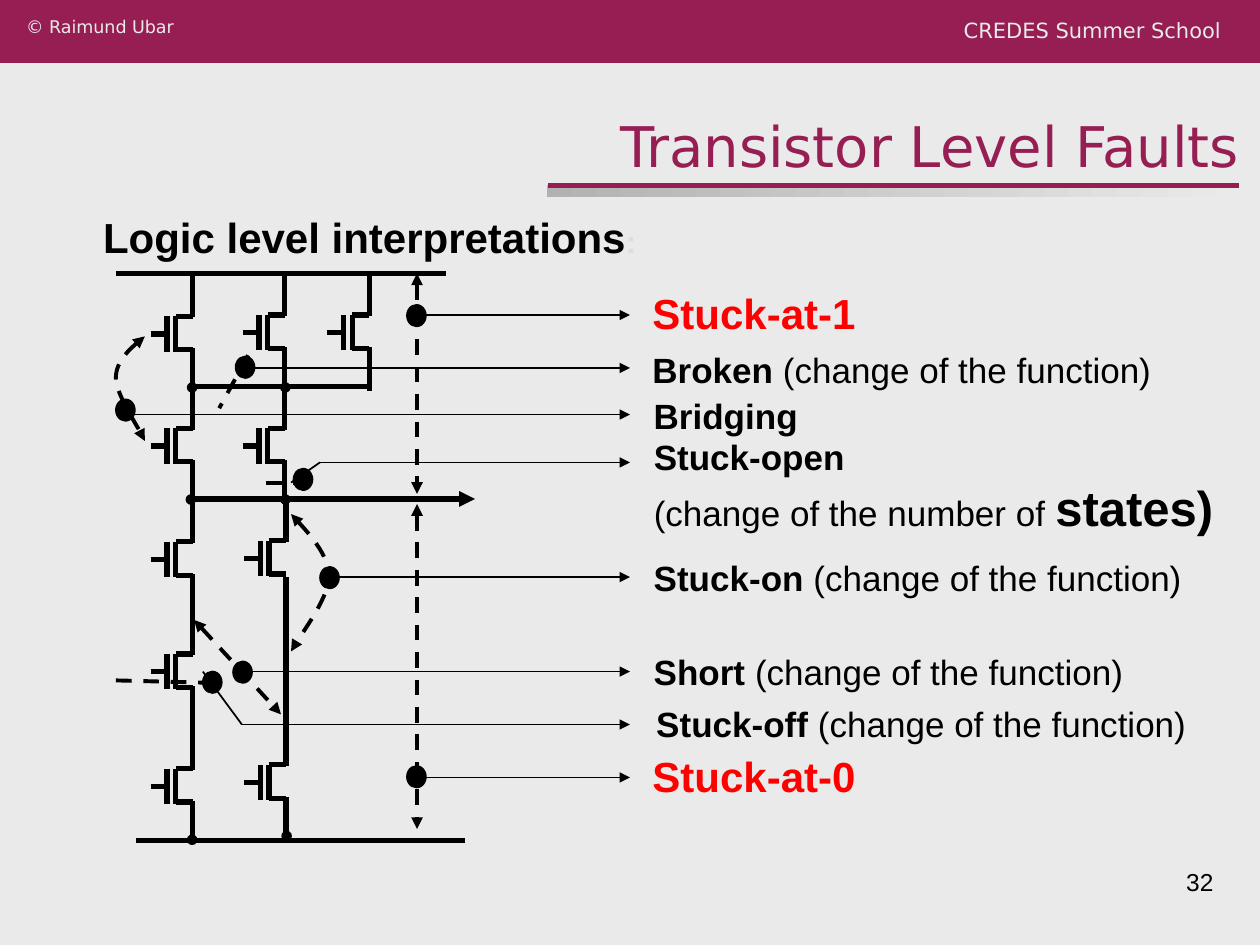
"""Build the slide on transistor level faults and their logic level interpretations."""
from pptx import Presentation
from pptx.dml.color import RGBColor
from pptx.enum.dml import MSO_LINE
from pptx.enum.shapes import MSO_CONNECTOR, MSO_SHAPE
from pptx.enum.text import MSO_ANCHOR, PP_ALIGN
from pptx.oxml.ns import qn
from pptx.util import Inches, Pt

STRAIGHT = MSO_CONNECTOR.STRAIGHT
RECTANGLE, OVAL = MSO_SHAPE.RECTANGLE, MSO_SHAPE.OVAL
DASH = MSO_LINE.DASH
TOP, MIDDLE, BOTTOM = MSO_ANCHOR.TOP, MSO_ANCHOR.MIDDLE, MSO_ANCHOR.BOTTOM
LEFT, RIGHT = PP_ALIGN.LEFT, PP_ALIGN.RIGHT

THEME = {
    "paper": RGBColor(0xEA, 0xEA, 0xEA),
    "brand": RGBColor(0x97, 0x1E, 0x53),
    "shade": RGBColor(0xB2, 0xB2, 0xB2),
    "ink": RGBColor(0, 0, 0),
    "alarm": RGBColor(0xFF, 0, 0),
    "faint": RGBColor(0xDD, 0xDD, 0xDD),
    "copyright": {"name": "DejaVu Sans", "size": Pt(10)},
    "event": {"name": "DejaVu Sans", "size": Pt(12)},
    "title": {"name": "DejaVu Sans", "size": Pt(32)},
    "heading": {"name": "Arial", "size": Pt(24), "bold": True},
    "colon": {"name": "Arial", "size": Pt(18), "bold": True},
    "fault": {"name": "Arial", "size": Pt(20), "bold": True},
    "effect": {"name": "Arial", "size": Pt(20), "bold": False},
    "states": {"name": "Arial", "size": Pt(28), "bold": True},
    "number": {"name": "Arial", "size": Pt(14)},
}
STROKES = {
    "rule": ("brand", {"width": Pt(3)}, ()),
    "wire": ("ink", {"width": Pt(3)}, ()),
    "output": ("ink", {"width": Pt(3)}, ("a:tailEnd",)),
    "defect": ("ink", {"width": Pt(2.25), "dash_style": DASH}, ()),
    "bridge": ("ink", {"width": Pt(2.25), "dash_style": DASH}, ("a:headEnd", "a:tailEnd")),
    "leader": ("ink", {"width": Pt(1)}, ()),
    "pointer": ("ink", {"width": Pt(1)}, ("a:tailEnd",)),
}

deck = Presentation()
deck.slide_width, deck.slide_height = Inches(10), Inches(7.5)
COL, ROW = deck.slide_width / 100, deck.slide_height / 75
slide = deck.slides.add_slide(deck.slide_layouts[6])
shapes = slide.shapes
slide.background.fill.solid()
slide.background.fill.fore_color.rgb = THEME["paper"]


def stroke(mark, style):
    color, formats, arrows = STROKES[style]
    mark.line.color.rgb = THEME[color]
    for key, value in formats.items():
        setattr(mark.line, key, value)
    properties = mark._element.spPr
    for end in arrows:
        outline = properties.find(qn("a:ln"))
        outline.append(outline.makeelement(qn(end), {"type": "triangle"}))
    if properties.find(qn("a:effectLst")) is None:
        properties.append(properties.makeelement(qn("a:effectLst"), {}))


def write(col, row, cols, rows, paragraphs, align=LEFT, anchor=MIDDLE, wrap=False):
    frame = shapes.add_textbox(*map(int, (col * COL, row * ROW, cols * COL, rows * ROW))).text_frame
    frame.word_wrap, frame.vertical_anchor = wrap, anchor
    for index, runs in enumerate(paragraphs):
        paragraph = frame.add_paragraph() if index else frame.paragraphs[0]
        paragraph.alignment = align
        for wording, kind, color in runs:
            run = paragraph.add_run()
            run.text = wording
            run.font.color.rgb = THEME[color]
            for key, value in THEME[kind].items():
                setattr(run.font, key, value)


banner = shapes.add_shape(RECTANGLE, 0, 0, deck.slide_width, int(5 * ROW))
banner.fill.solid()
banner.fill.fore_color.rgb = THEME["brand"]
underline = shapes.add_shape(RECTANGLE, *map(int, (43.4 * COL, 14.7 * ROW, 55.1 * COL, 0.9 * ROW)))
underline.fill.gradient()
underline.fill.gradient_angle = 0
for stop, color, position in zip(underline.fill.gradient_stops, ("shade", "paper"), (0, 1)):
    stop.color.rgb, stop.position = THEME[color], position
for bar in (banner, underline):
    bar.line.fill.background()
    bar.shadow.inherit = False

write(1.1, 0.8, 23.8, 3.2, [[("© Raimund Ubar", "copyright", "paper")]], LEFT, TOP, True)
write(74.1, 0.9, 23.8, 3.2, [[("CREDES Summer School", "event", "paper")]], RIGHT, TOP, True)
write(14.4, 8.3, 85, 6.4, [[("Transistor Level Faults", "title", "brand")]], RIGHT, BOTTOM, True)
write(71.7, 68.3, 25.6, 5.2, [[("32", "number", "ink")]], RIGHT, TOP, True)
write(7.2, 16.3, 44.3, 5, [[("Logic level interpretations", "heading", "ink"), (":", "colon", "faint")]])

lines = [
    (43.5, 14.7, 98.3, 14.7, "rule"),
    (9.2, 21.7, 35.4, 21.7, "wire"),
    (15.3, 30.7, 29.3, 30.7, "wire"),
    (15.4, 39.6, 37.7, 39.6, "output"),
    (22.7, 45.8, 22.7, 60.8, "wire"),
    (10.8, 66.7, 36.9, 66.7, "wire"),
    (19.7, 28.2, 17.4, 32.4, "defect"),
    (21.1, 38.3, 24.2, 38.3, "defect"),
    (9.2, 54, 16.9, 54.2, "defect"),
    (33.1, 21.7, 33.1, 39.2, "bridge"),
    (33.1, 40, 33.1, 65.8, "bridge"),
    (15.4, 49.2, 22.3, 56.7, "bridge"),
    (23.1, 38.3, 25.4, 36.7, "leader"),
    (16.1, 53.3, 19.2, 57.5, "leader"),
]

transistors = {
    15.3: (21.8, 30.7, 39.7, 48.6, 57.7),
    22.6: (21.7, 30.7),
    22.7: (39.6, 57.4),
    29.3: (21.7,),
}
cut_drain = (22.7, 39.6)
for rail, sources in transistors.items():
    channel, plate, lead = rail - 1.35, rail - 2.05, rail - 3.35
    for source in sources:
        lines += [
            (rail, source, rail, source + 3.4, "wire"),
            (rail, source + 3.3, channel, source + 3.3, "wire"),
            (channel, source + 3.3, channel, source + 6.1, "wire"),
            (plate, source + 3.3, plate, source + 6.1, "wire"),
            (rail, source + 5.95, channel, source + 5.95, "wire"),
            (lead, source + 4.7, plate, source + 4.7, "wire"),
        ]
        if (rail, source) != cut_drain:
            lines.append((rail, source + 5.85, rail, source + 9.3, "wire"))

EFFECT = ("(change of the function)", "effect", "ink")
interpretations = [
    (33.1, 25, 50.8, 22.3, 18.5, 5, [[("Stuck-at-1", "heading", "alarm")]]),
    (19.2, 29.2, 50.8, 27.1, 42, 4.4, [[("Broken ", "fault", "ink"), EFFECT]]),
    (10.1, 32.9, 50.9, 30.8, 14, 4.4, [[("Bridging", "fault", "ink")]]),
    (25.4, 36.7, 50.9, 34.1, 46.8, 9, [
        [("Stuck-open", "fault", "ink")],
        [("(change of the number of ", "effect", "ink"), ("states)", "states", "ink")],
    ]),
    (26.1, 45.8, 50.9, 43.6, 44.3, 4.4, [[("Stuck-on ", "fault", "ink"), EFFECT]]),
    (19.2, 53.3, 50.9, 51.1, 39.7, 4.4, [[("Short ", "fault", "ink"), EFFECT]]),
    (19.2, 57.5, 51.1, 55.2, 44.5, 4.4, [[("Stuck-off ", "fault", "ink"), EFFECT]]),
    (33.1, 61.7, 50.8, 59.1, 18.5, 5, [[("Stuck-at-0", "heading", "alarm")]]),
]
for origin, level, col, row, cols, rows, paragraphs in interpretations:
    lines.append((origin, level, 50, level, "pointer"))
    write(col, row, cols, rows, paragraphs, wrap=True)

for x1, y1, x2, y2, style in lines:
    ends = map(int, (x1 * COL, y1 * ROW, x2 * COL, y2 * ROW))
    stroke(shapes.add_connector(STRAIGHT, *ends), style)

bridging_arcs = [
    [(11.5, 26.7), (10.4, 27.6), (9.2, 28.6), (9.2, 30), (9.2, 31.4), (11.2, 34.2), (11.5, 35)],
    [(23.1, 40.8), (24.6, 42.4), (26.1, 44), (26.1, 45.8), (26.1, 47.6), (23.6, 50.7), (23.1, 51.7)],
]
STEPS = 16
for controls in bridging_arcs:
    track = []
    for first in (0, 3):
        for step in range(1, STEPS + 1):
            t = step / STEPS
            weights = ((1 - t) ** 3, 3 * t * (1 - t) ** 2, 3 * t * t * (1 - t), t ** 3)
            section = list(zip(weights, controls[first:first + 4]))
            track.append((sum(w * p[0] for w, p in section) * COL, sum(w * p[1] for w, p in section) * ROW))
    builder = shapes.build_freeform(controls[0][0] * COL, controls[0][1] * ROW)
    builder.add_line_segments(track, close=False)
    arc = builder.convert_to_shape()
    arc.fill.background()
    stroke(arc, "bridge")

dots = {
    (0.7, 0.7): [(15.25, 30.75), (22.65, 30.75), (15.15, 39.65), (22.65, 39.65), (22.75, 66.35), (15.25, 66.65)],
    (1.5, 1.7): [(33.05, 25.05), (19.45, 29.15), (9.95, 32.55), (24.05, 38.05),
                 (26.15, 45.85), (19.25, 53.35), (16.85, 54.15), (33.05, 61.65)],
}
for (cols, rows), centres in dots.items():
    for x, y in centres:
        box = ((x - cols / 2) * COL, (y - rows / 2) * ROW, cols * COL, rows * ROW)
        dot = shapes.add_shape(OVAL, *map(int, box))
        dot.fill.solid()
        dot.fill.fore_color.rgb = THEME["ink"]
        stroke(dot, "leader")

deck.save("out.pptx")
